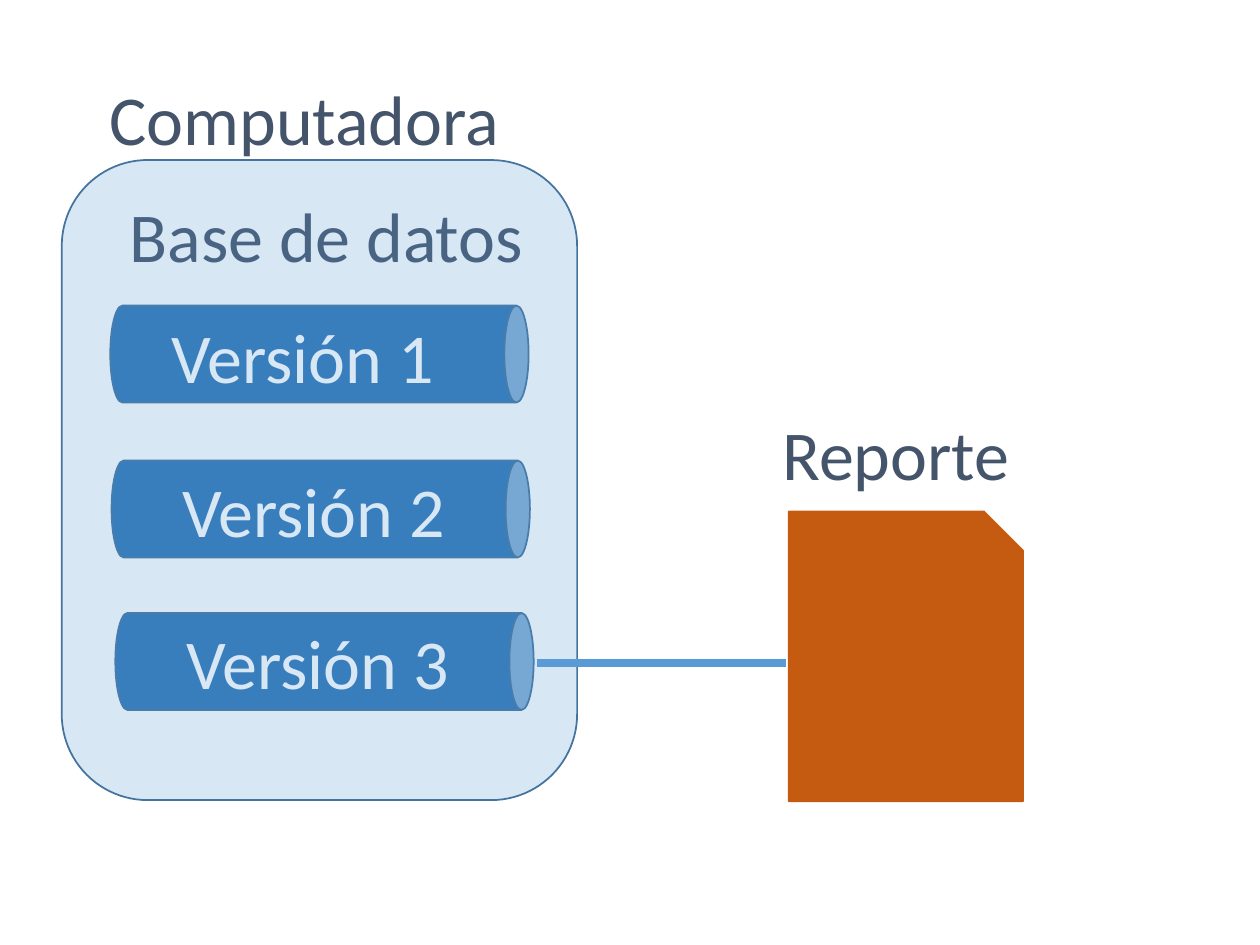
from lxml import etree
from pptx import Presentation
from pptx.dml.color import RGBColor
from pptx.enum import shapes, text
from pptx.oxml import ns
from pptx.util import Inches, Pt

COLORS = {
    "can": "2E75B6",
    "outline": "43739E",
    "computer": "5B9BD5",
    "report": "C55A11",
    "label": "44546A",
    "version": "FFFFFF",
}
FONT = "Calibri"
LABEL_HEIGHT = 0.77
CAN_WIDTH, CAN_HEIGHT = 0.77, 3.32

# Version number: can left, can top, label left, label top
VERSIONS = {
    1: (2.15, 1.15, 1.26, 2.44),
    2: (2.16, 2.38, 1.35, 3.66),
    3: (2.19, 3.59, 1.38, 4.87),
}


def color(name):
    return RGBColor.from_string(COLORS[name])


def add_block(slide, kind, box, fill, outline, rotation=0, opacity=None):
    shape = slide.shapes.add_shape(kind, *map(Inches, box))
    shape.shadow.inherit = False
    shape.rotation = rotation
    shape.fill.solid()
    shape.fill.fore_color.rgb = color(fill)
    shape.line.color.rgb = color(outline)
    shape.line.width = Pt(1)
    if opacity is not None:
        fill_color = shape._element.spPr.find(ns.qn("a:solidFill"))[0]
        alpha = etree.SubElement(fill_color, ns.qn("a:alpha"))
        alpha.set("val", str(opacity * 1000))
    return shape


def add_label(slide, words, left, top, width, color_name="label",
              alignment=text.PP_ALIGN.LEFT):
    box = slide.shapes.add_textbox(
        Inches(left), Inches(top), Inches(width), Inches(LABEL_HEIGHT))
    frame = box.text_frame
    frame.word_wrap = False
    frame.auto_size = text.MSO_AUTO_SIZE.SHAPE_TO_FIT_TEXT
    paragraph = frame.paragraphs[0]
    paragraph.alignment = alignment
    run = paragraph.add_run()
    run.text = words
    run.font.name = FONT
    run.font.size = Pt(40)
    run.font.color.rgb = color(color_name)


def add_link(slide, start_x, end_x, y):
    line = slide.shapes.add_connector(
        shapes.MSO_CONNECTOR.STRAIGHT,
        Inches(start_x), Inches(y), Inches(end_x), Inches(y))
    line.line.color.rgb = color("computer")
    line.line.width = Pt(4.5)
    etree.SubElement(line._element.spPr, ns.qn("a:effectLst"))


def add_version(slide, number):
    can_left, can_top, label_left, label_top = VERSIONS[number]
    add_block(slide, shapes.MSO_SHAPE.CAN,
              (can_left, can_top, CAN_WIDTH, CAN_HEIGHT),
              "can", "outline", rotation=90)
    add_label(slide, f"Versión {number}", label_left, label_top, 2.31, "version")


def main():
    presentation = Presentation()
    presentation.slide_width = Inches(10)
    presentation.slide_height = Inches(7.5)
    slide = presentation.slides.add_slide(presentation.slide_layouts[6])
    center = text.PP_ALIGN.CENTER

    # Database with its versions
    add_label(slide, "Base de datos", 0.93, 1.48, 3.35)
    for number in VERSIONS:
        add_version(slide, number)

    # Computer: translucent panel over the database
    add_block(slide, shapes.MSO_SHAPE.ROUNDED_RECTANGLE,
              (0.49, 1.27, 4.09, 5.08), "computer", "outline", opacity=24)
    add_label(slide, "Computadora", 0.75, 0.55, 3.33, alignment=center)

    # Report linked to the latest version
    add_link(slide, 4.26, 6.24, 5.26)
    add_block(slide, shapes.MSO_SHAPE.SNIP_1_RECTANGLE,
              (6.26, 4.06, 1.86, 2.3), "report", "report")
    add_label(slide, "Reporte", 6.1, 3.21, 2.02, alignment=center)

    presentation.save("out.pptx")


main()
